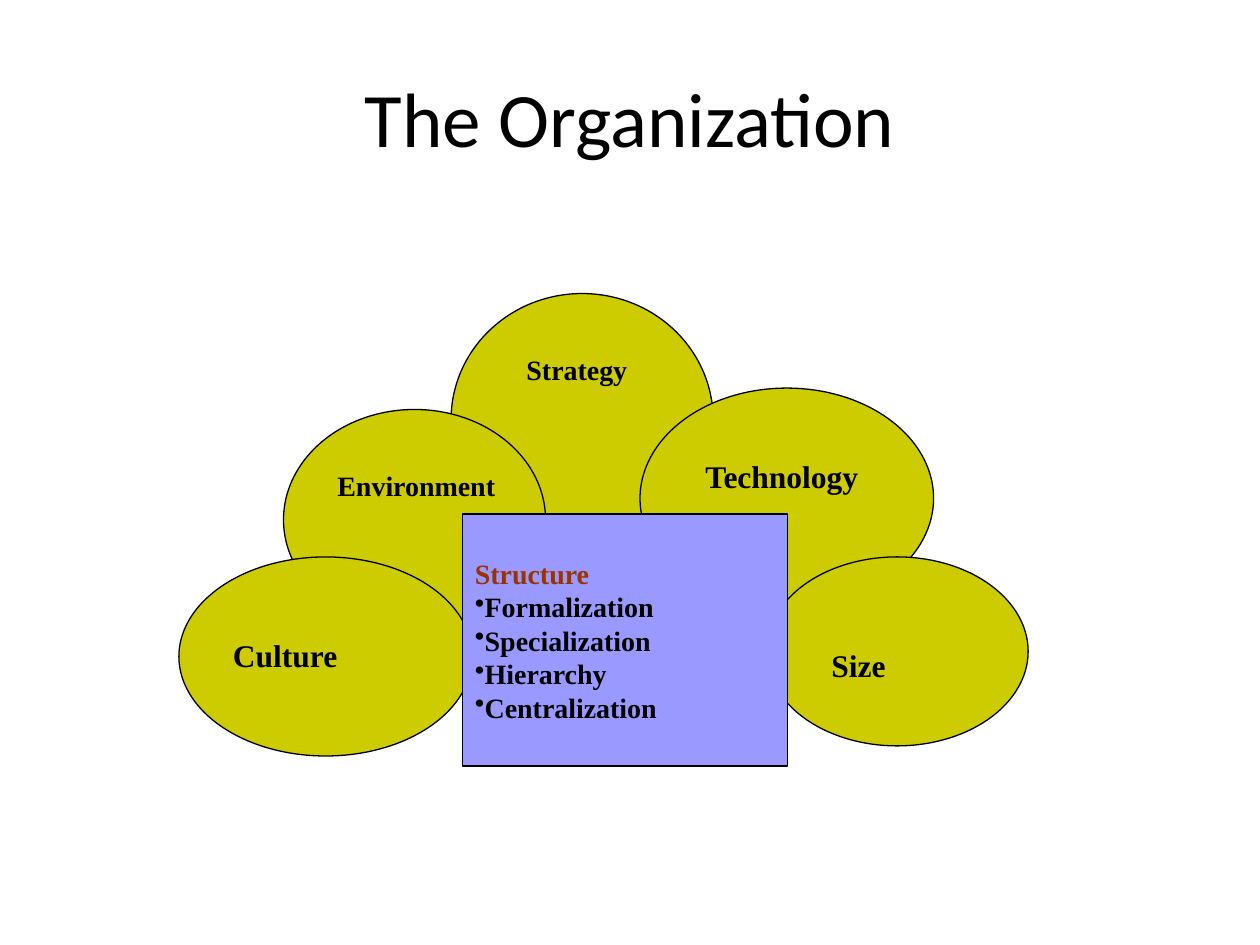
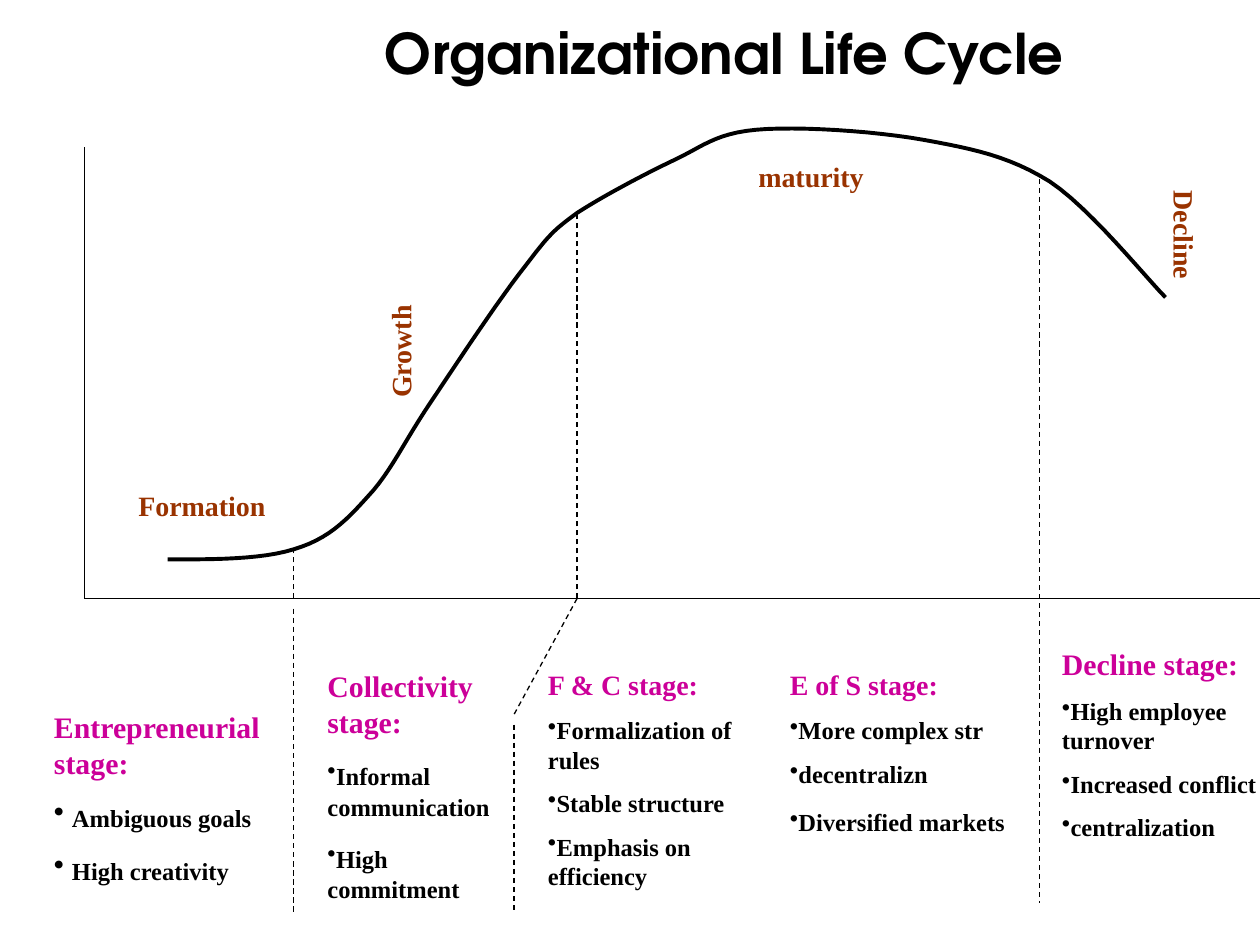
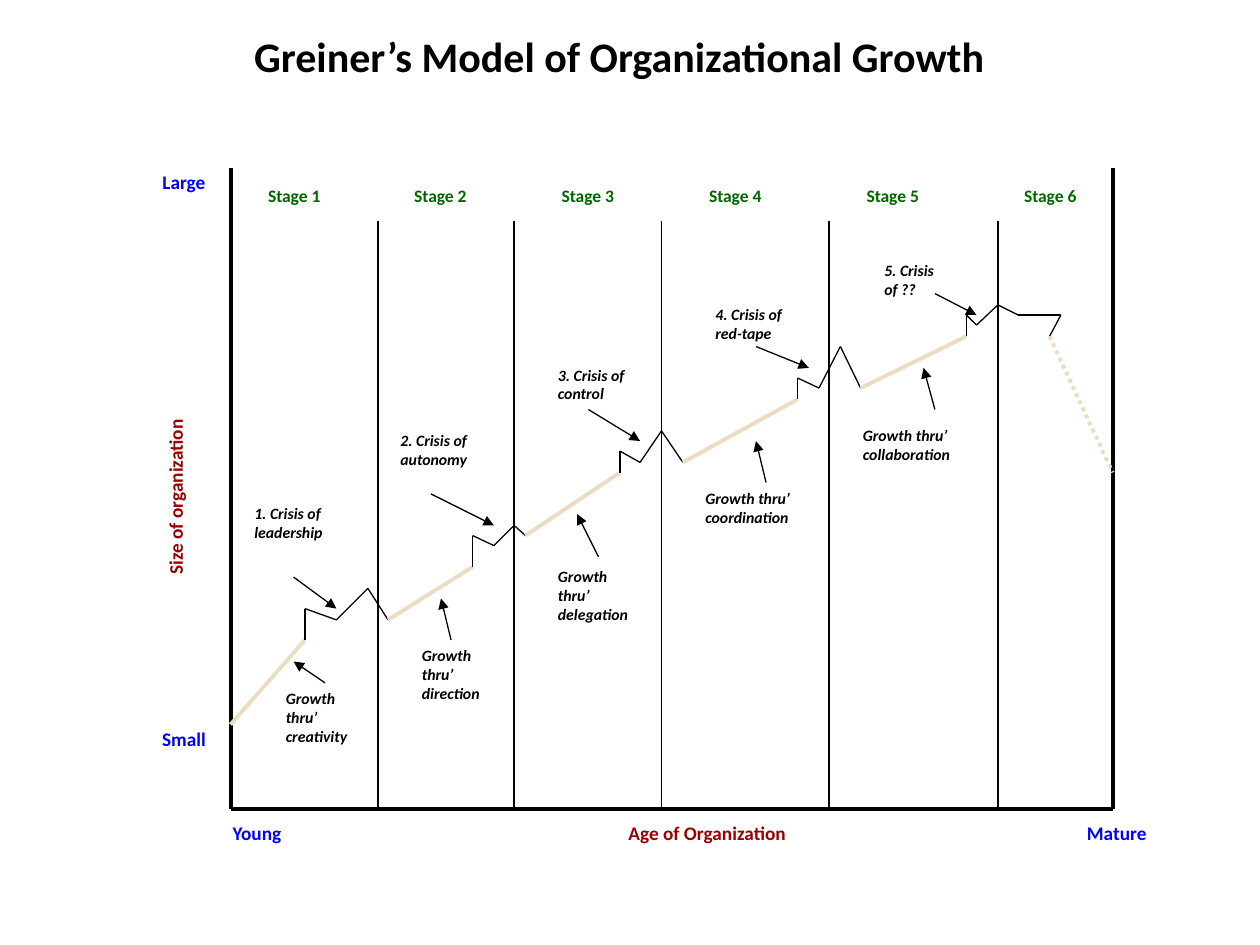
import itertools

import lxml.etree
import pptx
import pptx.dml.color
import pptx.enum.dml
import pptx.enum.shapes
import pptx.enum.text
import pptx.oxml.ns
import pptx.util

Inches = pptx.util.Inches
Pt = pptx.util.Pt
RGBColor = pptx.dml.color.RGBColor
LEFT = pptx.enum.text.PP_ALIGN.LEFT
CENTER = pptx.enum.text.PP_ALIGN.CENTER
DASH = pptx.enum.dml.MSO_LINE.DASH
DOT = pptx.enum.dml.MSO_LINE.ROUND_DOT
OVAL = pptx.enum.shapes.MSO_SHAPE.OVAL
RECTANGLE = pptx.enum.shapes.MSO_SHAPE.RECTANGLE
STRAIGHT = pptx.enum.shapes.MSO_CONNECTOR.STRAIGHT

BLACK = RGBColor(0x00, 0x00, 0x00)
WHITE = RGBColor(0xFF, 0xFF, 0xFF)
OLIVE = RGBColor(0xCC, 0xCC, 0x00)
LAVENDER = RGBColor(0x99, 0x99, 0xFF)
RUST = RGBColor(0x99, 0x33, 0x00)
MAGENTA = RGBColor(0xCC, 0x00, 0x99)
SAND = RGBColor(0xEB, 0xDD, 0xC3)
BLUE = RGBColor(0x00, 0x00, 0xFF)
MAROON = RGBColor(0x99, 0x00, 0x00)
GREEN = RGBColor(0x00, 0x66, 0x00)

SANS = "Calibri"
SERIF = "Times New Roman"
DISPLAY = "TeX Gyre Adventor"


def write(shape, paragraphs, font, align=LEFT, bold=True, italic=False):
    frame = shape.text_frame
    frame.word_wrap = True
    for index, (color, space, runs) in enumerate(paragraphs):
        paragraph = frame.add_paragraph() if index else frame.paragraphs[0]
        paragraph.alignment = align
        if index:
            properties = paragraph._p.get_or_add_pPr()
            bullet = lxml.etree.SubElement(properties, pptx.oxml.ns.qn("a:buChar"))
            bullet.set("char", "•")
            paragraph.space_before = Pt(space)
        for text, size in runs:
            run = paragraph.add_run()
            run.text = text
            run.font.name = font
            run.font.size = Pt(size)
            run.font.bold = bold
            run.font.italic = italic
            run.font.color.rgb = color


def add_line(slide, start, end, color=BLACK, width=0.75, dash=None, arrow=False):
    line = slide.shapes.add_connector(STRAIGHT, *map(Inches, start + end))
    line.line.color.rgb = color
    line.line.width = Pt(width)
    if dash:
        line.line.dash_style = dash
    if arrow:
        tail = lxml.etree.SubElement(line.line._ln, pptx.oxml.ns.qn("a:tailEnd"))
        tail.set("type", "triangle")
    lxml.etree.SubElement(line.element.spPr, pptx.oxml.ns.qn("a:effectLst"))


presentation = pptx.Presentation()
presentation.slide_width = Inches(10)
presentation.slide_height = Inches(7.5)

slides = []
for text, box, font, size, bold in [
    ("The Organization", (0.5, 0.3, 9, 1.25), SANS, 44, False),
    ("Organizational Life Cycle", (1.5, 0.08, 8.5, 0.67), DISPLAY, 32, True),
    ("Greiner’s Model of Organizational Growth", (1, 0.17, 7.83, 0.55), SANS, 24, True),
]:
    slide = presentation.slides.add_slide(presentation.slide_layouts[5])
    title = slide.shapes.title
    title.left, title.top, title.width, title.height = map(Inches, box)
    title.text_frame.auto_size = pptx.enum.text.MSO_AUTO_SIZE.NONE
    title.text_frame.vertical_anchor = pptx.enum.text.MSO_ANCHOR.MIDDLE
    write(title, [(BLACK, 0, [(text, size)])], font, CENTER, bold)
    slides.append(slide)
organization, life_cycle, greiner = slides

for kind, color, *box in [
    (OVAL, OLIVE, 3.58, 2.33, 2.08, 2),
    (OVAL, OLIVE, 2.25, 3.25, 2.08, 1.75),
    (OVAL, OLIVE, 1.42, 4.42, 2.33, 1.58),
    (OVAL, OLIVE, 5.08, 3.08, 2.33, 1.75),
    (OVAL, OLIVE, 6.08, 4.42, 2.08, 1.5),
    (RECTANGLE, LAVENDER, 3.67, 4.08, 2.58, 2),
]:
    shape = organization.shapes.add_shape(kind, *map(Inches, box))
    shape.shadow.inherit = False
    shape.fill.solid()
    shape.fill.fore_color.rgb = color
    shape.line.color.rgb = BLACK
    shape.line.width = Pt(0.75)
structure = [(RUST, 0, [("Structure", 16)])]
for feature in ["Formalization", "Specialization", "Hierarchy", "Centralization"]:
    structure.append((BLACK, 0, [(feature, 16)]))
write(shape, structure, SERIF)

for text, size, *box in [
    ("Culture", 18, 1.75, 5, 1.67, 0.4),
    ("Environment", 16, 2.58, 3.67, 1.5, 0.37),
    ("Strategy", 16, 4.08, 2.75, 1.75, 0.37),
    ("Technology", 18, 5.5, 3.58, 1.75, 0.4),
    ("Size", 18, 6.5, 5.08, 1.33, 0.4),
]:
    label = organization.shapes.add_textbox(*map(Inches, box))
    write(label, [(BLACK, 0, [(text, size)])], SERIF)

for start, end in [
    ((2.33, 4.83), (2.33, 7.25)),
    ((4.08, 5.75), (4.08, 7.25)),
    ((8.25, 1.42), (8.25, 7.17)),
    ((4.58, 4.75), (4.08, 5.67)),
    ((4.58, 4.75), (4.58, 1.67)),
    ((2.33, 4.75), (2.33, 4.33)),
]:
    add_line(life_cycle, start, end, dash=DASH)
add_line(life_cycle, (0.67, 4.75), (0.67, 1.17))
add_line(life_cycle, (0.67, 4.75), (10, 4.75))

curve_start = (1.33, 4.44)
curve_segments = [
    ((1.7, 4.44), (2.07, 4.44), (2.33, 4.36)),
    ((2.6, 4.28), (2.74, 4.14), (2.92, 3.94)),
    ((3.1, 3.75), (3.21, 3.5), (3.42, 3.19)),
    ((3.62, 2.89), (3.97, 2.36), (4.17, 2.11)),
    ((4.36, 1.86), (4.39, 1.83), (4.58, 1.69)),
    ((4.78, 1.56), (5.1, 1.39), (5.33, 1.28)),
    ((5.57, 1.17), (5.67, 1.06), (6, 1.03)),
    ((6.33, 1), (6.94, 1.04), (7.33, 1.11)),
    ((7.72, 1.18), (8.01, 1.24), (8.33, 1.44)),
    ((8.65, 1.65), (9.1, 2.21), (9.25, 2.36)),
]
STEPS = 12
curve_points = []
anchor = curve_start
for first, second, end in curve_segments:
    for step in range(1, STEPS + 1):
        t = step / STEPS
        u = 1 - t
        curve_points.append([
            Inches(u**3 * a + 3 * u * u * t * b + 3 * u * t * t * c + t**3 * d)
            for a, b, c, d in zip(anchor, first, second, end)
        ])
    anchor = end
builder = life_cycle.shapes.build_freeform(*map(Inches, curve_start))
builder.add_line_segments(curve_points, close=False)
curve = builder.convert_to_shape()
curve.shadow.inherit = False
curve.fill.background()
curve.line.color.rgb = BLACK
curve.line.width = Pt(2.25)

for heading, size, box, bullets in [
    ("Entrepreneurial stage:", 17, (0.33, 5.58, 2.25, 1.94), [
        (9.75, [(" ", 17), ("Ambiguous goals", 14)]),
        (9.75, [(" ", 17), ("High creativity", 14)]),
    ]),
    ("Collectivity stage:", 17, (2.5, 5.25, 1.58, 2.76), [
        (9.75, [("Informal", 14), (" ", 17), ("communication", 14)]),
        (9.75, [("High", 14), (" ", 17), ("commitment", 14)]),
    ]),
    ("F & C stage:", 16, (4.25, 5.25, 1.92, 1.88), [
        (8, [("Formalization of rules", 14)]),
        (8, [("Stable structure", 14)]),
        (8, [("Emphasis on efficiency", 14)]),
    ]),
    ("E of S stage:", 16, (6.17, 5.25, 2, 1.47), [
        (8, [("More complex str", 14)]),
        (8, [("decentralizn", 14)]),
        (10.75, [("Diversified markets", 14)]),
    ]),
    ("Decline stage:", 17, (8.33, 5.08, 1.83, 1.66), [
        (8, [("High employee turnover", 14)]),
        (8, [("Increased conflict", 14)]),
        (8, [("centralization", 14)]),
    ]),
]:
    stage = [(MAGENTA, 0, [(heading, size)])]
    stage += [(BLACK, space, runs) for space, runs in bullets]
    write(life_cycle.shapes.add_textbox(*map(Inches, box)), stage, SERIF)

for text, rotation, *box in [
    ("Formation", 0, 1, 3.83, 1.33, 0.37),
    ("Growth", 270, 2.43, 2.32, 1.5, 0.37),
    ("maturity", 0, 5.92, 1.22, 1.5, 0.37),
    ("Decline", 90, 8.86, 1.77, 1.08, 0.37),
]:
    phase = life_cycle.shapes.add_textbox(*map(Inches, box))
    phase.rotation = rotation
    write(phase, [(RUST, 0, [(text, 16)])], SERIF)

for start, end in [
    ((1.83, 1.33), (1.83, 6.42)),
    ((8.83, 1.33), (8.83, 6.42)),
    ((1.83, 6.42), (8.83, 6.42)),
]:
    add_line(greiner, start, end, width=2.25)
for x in [3, 4.08, 5.25, 6.58, 7.92]:
    add_line(greiner, (x, 1.75), (x, 6.42))

for growth_start, growth_end, *crisis in [
    [(1.83, 5.75), (2.42, 5.08), (2.42, 4.83), (2.67, 4.92), (2.92, 4.67), (3.08, 4.92)],
    [(3.08, 4.92), (3.75, 4.5), (3.75, 4.25), (3.92, 4.33), (4.08, 4.17), (4.17, 4.25)],
    [(4.17, 4.25), (4.92, 3.75), (4.92, 3.58), (5.08, 3.67), (5.25, 3.42), (5.42, 3.67)],
    [(5.42, 3.67), (6.33, 3.17), (6.33, 3), (6.5, 3.08), (6.67, 2.75), (6.83, 3.08)],
    [(6.83, 3.08), (7.67, 2.67), (7.67, 2.5), (7.75, 2.58), (7.92, 2.42), (8.08, 2.5),
     (8.42, 2.5), (8.33, 2.67)],
]:
    add_line(greiner, growth_start, growth_end, SAND, 2.25)
    turns = [growth_end] + crisis
    for start, end in zip(turns, turns[1:]):
        add_line(greiner, start, end)
add_line(greiner, (8.33, 2.67), (8.83, 3.75), SAND, 2.25, DOT)

for text, color, left, top, width in [
    ("Young", BLUE, 1.33, 6.47, 1.42),
    ("Mature ", BLUE, 8.17, 6.47, 1.42),
    ("Age of Organization ", MAROON, 4.42, 6.47, 2.42),
    ("Small", BLUE, 0.75, 5.72, 1.42),
    ("Large", BLUE, 0.75, 1.3, 1.42),
]:
    label = greiner.shapes.add_textbox(*map(Inches, (left, top, width, 0.28)))
    write(label, [(color, 0, [(text, 11)])], SANS, CENTER)

size_axis = greiner.shapes.add_shape(RECTANGLE, *map(Inches, (1.25, 2.58, 0.33, 2.08)))
size_axis.shadow.inherit = False
size_axis.rotation = 180
size_axis.fill.solid()
size_axis.fill.fore_color.rgb = WHITE
size_axis.line.fill.background()
size_axis.text_frame.vertical_anchor = pptx.enum.text.MSO_ANCHOR.TOP
size_axis.element.txBody.bodyPr.set("vert", "eaVert")
write(size_axis, [(MAROON, 0, [("Size of organization ", 11)])], SANS, CENTER)

for number, left in enumerate([1.92, 3.08, 4.25, 5.42, 6.67, 7.92], 1):
    label = greiner.shapes.add_textbox(*map(Inches, (left, 1.42, 0.83, 0.27)))
    write(label, [(GREEN, 0, [(f"Stage {number}", 10)])], SANS, CENTER)

for text, box, start, end in [
    ("1. Crisis of leadership", (1.92, 3.95, 0.83, 0.55), (2.33, 4.58), (2.67, 4.83)),
    ("2. Crisis of autonomy", (3.08, 3.37, 0.83, 0.55), (3.42, 3.92), (3.92, 4.17)),
    ("3. Crisis of control", (4.33, 2.85, 0.83, 0.4), (4.67, 3.25), (5.08, 3.5)),
    ("4. Crisis of red-tape", (5.58, 2.37, 0.83, 0.55), (6, 2.75), (6.42, 2.92)),
    ("5. Crisis of ??", (6.92, 2.02, 0.83, 0.4), (7.42, 2.33), (7.75, 2.5)),
    ("Growth thru’ creativity", (2.17, 5.42, 0.83, 0.55), (2.58, 5.42), (2.33, 5.25)),
    ("Growth thru’ direction", (3.25, 5.08, 0.83, 0.55), (3.58, 5.08), (3.5, 4.75)),
    ("Growth thru’ delegation", (4.33, 4.45, 0.83, 0.55), (4.75, 4.42), (4.58, 4.08)),
    ("Growth thru’ coordination", (5.5, 3.83, 1, 0.4), (6.08, 3.83), (6, 3.5)),
    ("Growth thru’ collaboration", (6.75, 3.33, 1.08, 0.4), (7.42, 3.25), (7.33, 2.92)),
]:
    note = greiner.shapes.add_textbox(*map(Inches, box))
    write(note, [(BLACK, 0, [(text, 9)])], SANS, italic=True)
    add_line(greiner, start, end, arrow=True)

presentation.save("out.pptx")
